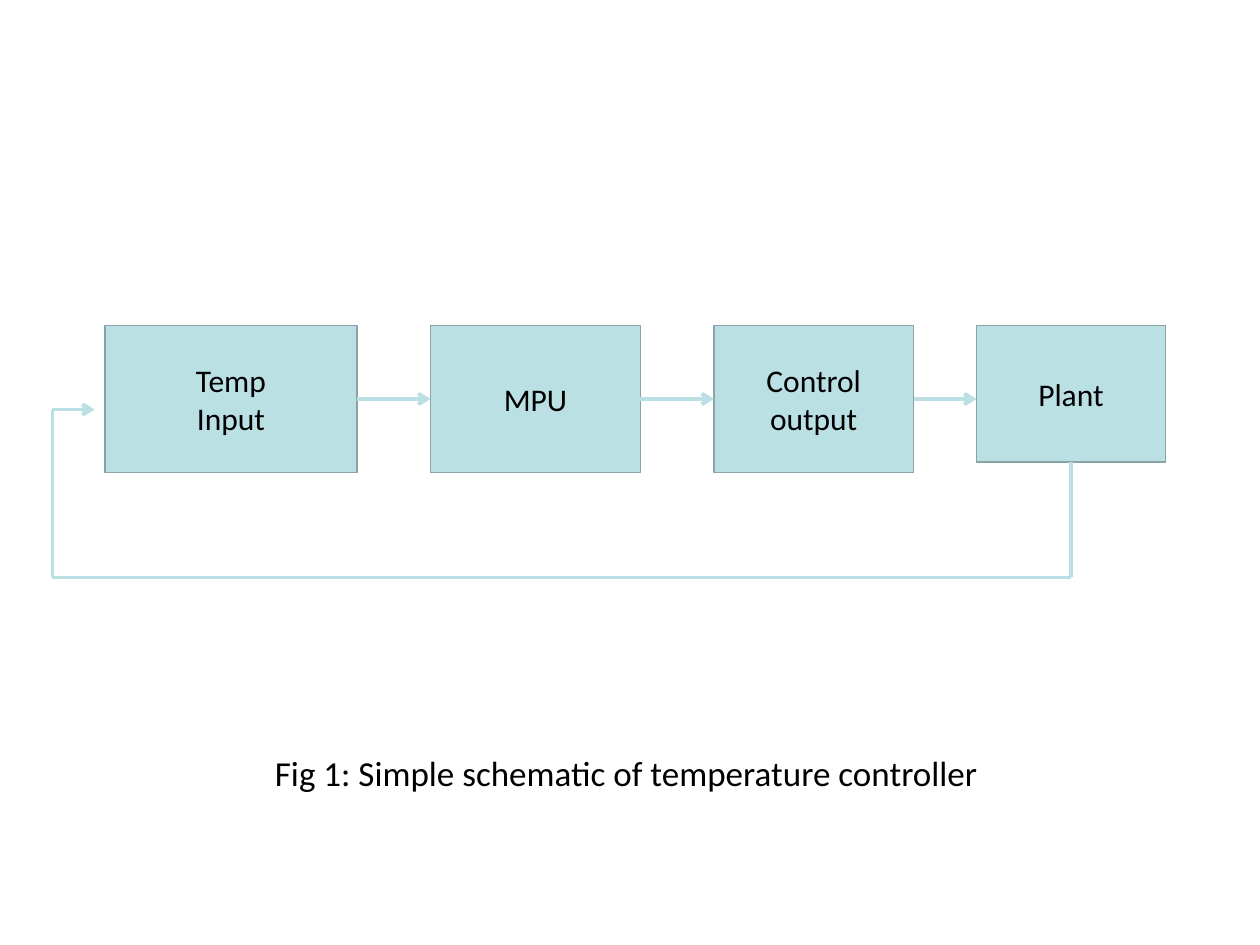
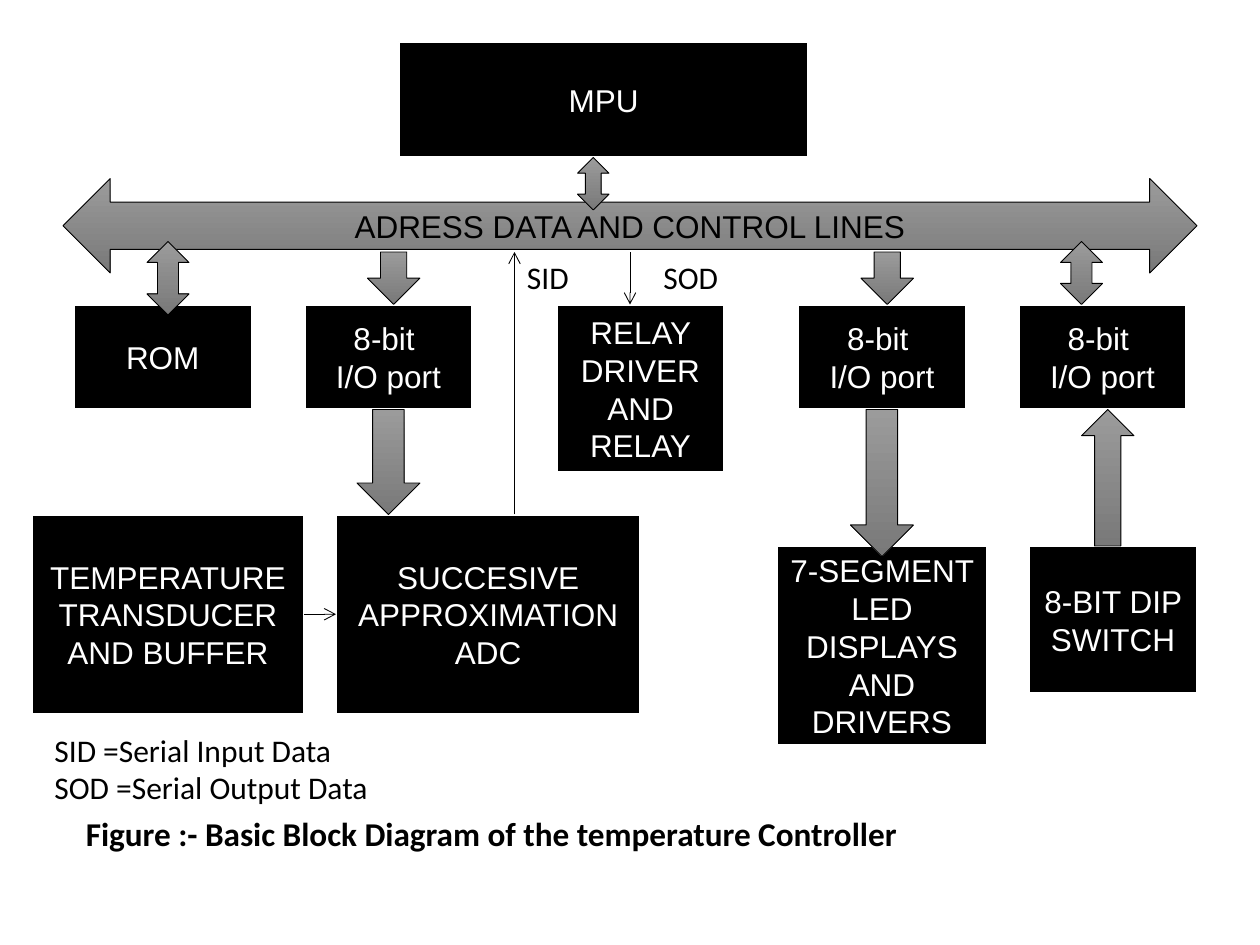
from lxml import etree
from pptx import Presentation
from pptx.dml.color import RGBColor
from pptx.enum.shapes import MSO_CONNECTOR, MSO_SHAPE
from pptx.enum.text import MSO_ANCHOR, PP_ALIGN
from pptx.oxml.ns import qn
from pptx.util import Emu, Pt

EMU_PER_PX = 9525
BLANK_LAYOUT = 6

BLACK = RGBColor(0x00, 0x00, 0x00)
WHITE = RGBColor(0xFF, 0xFF, 0xFF)
PALE_TEAL = RGBColor(0xBB, 0xE0, 0xE3)
TEAL_EDGE = RGBColor(0x89, 0xA4, 0xA7)
GREY_TOP = RGBColor(0x9B, 0x9B, 0x9B)
GREY_BOTTOM = RGBColor(0x79, 0x79, 0x79)

RECTANGLE = MSO_SHAPE.RECTANGLE
DOWN = MSO_SHAPE.DOWN_ARROW
UP = MSO_SHAPE.UP_ARROW
UP_DOWN = MSO_SHAPE.UP_DOWN_ARROW
LEFT_RIGHT = MSO_SHAPE.LEFT_RIGHT_ARROW
STRAIGHT = MSO_CONNECTOR.STRAIGHT
CENTER = PP_ALIGN.CENTER
LEFT = PP_ALIGN.LEFT
MIDDLE = MSO_ANCHOR.MIDDLE
TOP = MSO_ANCHOR.TOP

# Slide 1: the control loop
STAGE_TOP = 248
STAGES = [  # left, width, height, text
    (80, 192, 112, "Temp\nInput"),
    (328, 160, 112, "MPU"),
    (544, 152, 112, "Control\noutput"),
    (744, 144, 104, "Plant"),
]
FLOW_Y = 304
RETURN_X, RETURN_Y, ENTRY_Y = 40, 440, 312

# Slide 2: rows of the block diagram
PORT_TOP, PORT_BOTTOM = 232, 312
PORT_WIDTH, PORT_HEIGHT = 128, 80
PORT_LEFTS = (232, 608, 776)
BUS_EDGE = 192
ADC_TOP = 392
DISPLAY_TOP = 416
BLOCKS = [  # left, top, width, height, text
    (56, PORT_TOP, 136, PORT_HEIGHT, "ROM"),
    (424, PORT_TOP, PORT_WIDTH, 128, "RELAY DRIVER AND RELAY"),
    (304, 32, 312, 88, "MPU"),
    (256, ADC_TOP, 232, 152, "SUCCESIVE APPROXIMATION ADC"),
    (24, ADC_TOP, 208, 152, "TEMPERATURE TRANSDUCER AND BUFFER"),
    (592, DISPLAY_TOP, 160, 152, "7-SEGMENT LED DISPLAYS AND DRIVERS"),
    (784, DISPLAY_TOP, PORT_WIDTH, 112, "8-BIT DIP SWITCH"),
]
BLOCK_ARROWS = [  # preset, left, top, width, height
    (DOWN, 648, PORT_BOTTOM, 48, 112),
    (DOWN, 272, PORT_BOTTOM, 48, 80),
    (UP_DOWN, 112, 184, 32, 56),
    (DOWN, 280, BUS_EDGE, 40, 40),
    (DOWN, 656, BUS_EDGE, 40, 40),
    (UP_DOWN, 808, 184, 32, 48),
    (UP, 824, PORT_BOTTOM, 40, 104),
    (UP_DOWN, 440, 120, 24, 40),
]
SIGNALS = [  # start, end
    ((480, BUS_EDGE), (480, PORT_TOP)),
    ((392, ADC_TOP), (392, BUS_EDGE)),
    ((232, 468), (256, 468)),
]


def px(length):
    return Emu(length * EMU_PER_PX)


def write_text(shape, text, font, color, size=18, bold=False, align=CENTER, anchor=MIDDLE):
    """Write one paragraph for each line of text."""
    frame = shape.text_frame
    frame.word_wrap = True
    frame.vertical_anchor = anchor
    for index, line in enumerate(text.split("\n")):
        para = frame.add_paragraph() if index else frame.paragraphs[0]
        para.alignment = align
        span = para.add_run()
        span.text = line
        span.font.name = font
        span.font.size = Pt(size)
        span.font.bold = bold
        span.font.color.rgb = color


def add_outlined(page, preset, left, top, width, height, edge, weight):
    shape = page.shapes.add_shape(preset, px(left), px(top), px(width), px(height))
    shape.shadow.inherit = False
    shape.line.color.rgb = edge
    shape.line.width = Pt(weight)
    return shape


def add_stage(page, left, width, height, text):
    box = add_outlined(page, RECTANGLE, left, STAGE_TOP, width, height, TEAL_EDGE, 1)
    box.fill.solid()
    box.fill.fore_color.rgb = PALE_TEAL
    write_text(box, text, "Calibri", BLACK)


def add_block(page, left, top, width, height, text):
    box = add_outlined(page, RECTANGLE, left, top, width, height, WHITE, 1.5)
    box.fill.solid()
    box.fill.fore_color.rgb = BLACK
    write_text(box, text, "Arial", WHITE)


def add_block_arrow(page, preset, left, top, width, height):
    arrow = add_outlined(page, preset, left, top, width, height, BLACK, 0.5)
    arrow.fill.gradient()
    arrow.fill.gradient_angle = 270
    for stop, color in zip(arrow.fill.gradient_stops, (GREY_TOP, GREY_BOTTOM)):
        stop.color.rgb = color
    return arrow


def add_line(page, start, end, color, weight, arrow=True):
    line = page.shapes.add_connector(STRAIGHT, *map(px, start + end))
    line.line.color.rgb = color
    line.line.width = Pt(weight)
    if arrow:
        etree.SubElement(line.line._get_or_add_ln(), qn("a:tailEnd"), type="arrow")
    etree.SubElement(line._element.spPr, qn("a:effectLst"))


def add_label(page, left, top, width, height, text, size=18, bold=False):
    label = page.shapes.add_textbox(px(left), px(top), px(width), px(height))
    write_text(label, text, "Calibri", BLACK, size, bold, LEFT, TOP)


def build_control_loop(page):
    for stage in STAGES:
        add_stage(page, *stage)
    for (left, width, _, _), following in zip(STAGES, STAGES[1:]):
        add_line(page, (left + width, FLOW_Y), (following[0], FLOW_Y), PALE_TEAL, 2.25)

    left, width, height, _ = STAGES[-1]
    plant_x = left + width // 2
    corners = [(plant_x, STAGE_TOP + height), (plant_x, RETURN_Y),
               (RETURN_X, RETURN_Y), (RETURN_X, ENTRY_Y), (72, ENTRY_Y)]
    for start, end in zip(corners, corners[1:]):
        add_line(page, start, end, PALE_TEAL, 2.25, arrow=end == corners[-1])
    add_label(page, 200, 568, 600, 74, "Fig 1: Simple schematic of temperature controller", 20)


def build_block_diagram(page):
    for left in PORT_LEFTS:
        add_block(page, left, PORT_TOP, PORT_WIDTH, PORT_HEIGHT, "8-bit \nI/O port")
    for block in BLOCKS:
        add_block(page, *block)
    bus = add_block_arrow(page, LEFT_RIGHT, 48, 136, 864, 72)
    write_text(bus, "ADRESS DATA AND CONTROL LINES", "Arial", BLACK)
    for arrow in BLOCK_ARROWS:
        add_block_arrow(page, *arrow)
    for start, end in SIGNALS:
        add_line(page, start, end, BLACK, 0.5)
    add_label(page, 392, BUS_EDGE, 80, 38, "SID")
    add_label(page, 496, BUS_EDGE, 112, 38, "SOD")
    add_label(page, 32, 552, 312, 96, "SID =Serial Input Data\nSOD =Serial Output Data")
    add_label(page, 56, 615, 816, 40,
              "Figure :- Basic Block Diagram of the temperature Controller", 19, bold=True)


def main():
    deck = Presentation()
    deck.slide_width, deck.slide_height = px(960), px(720)
    for build in (build_control_loop, build_block_diagram):
        build(deck.slides.add_slide(deck.slide_layouts[BLANK_LAYOUT]))
    deck.save("out.pptx")


if __name__ == "__main__":
    main()
